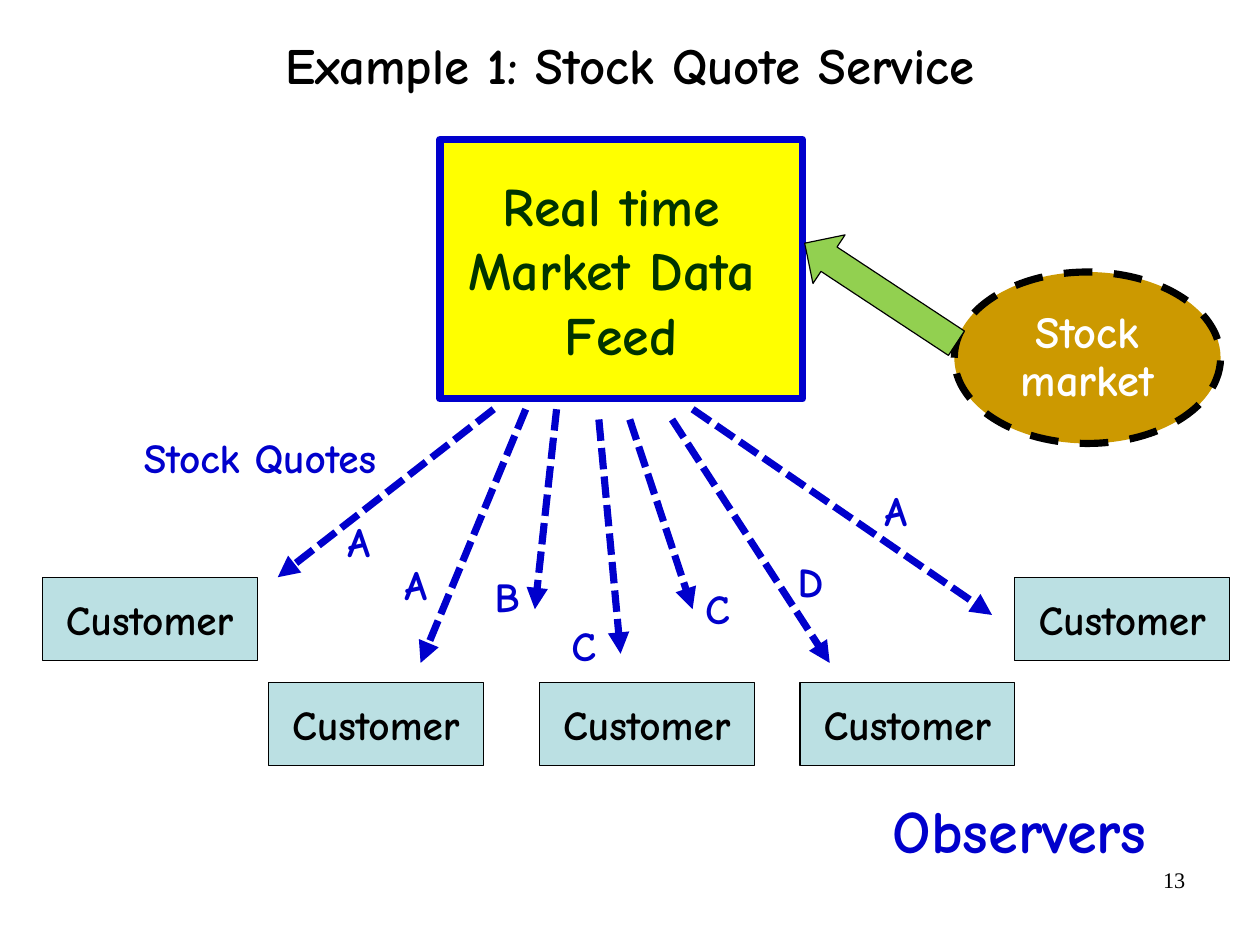
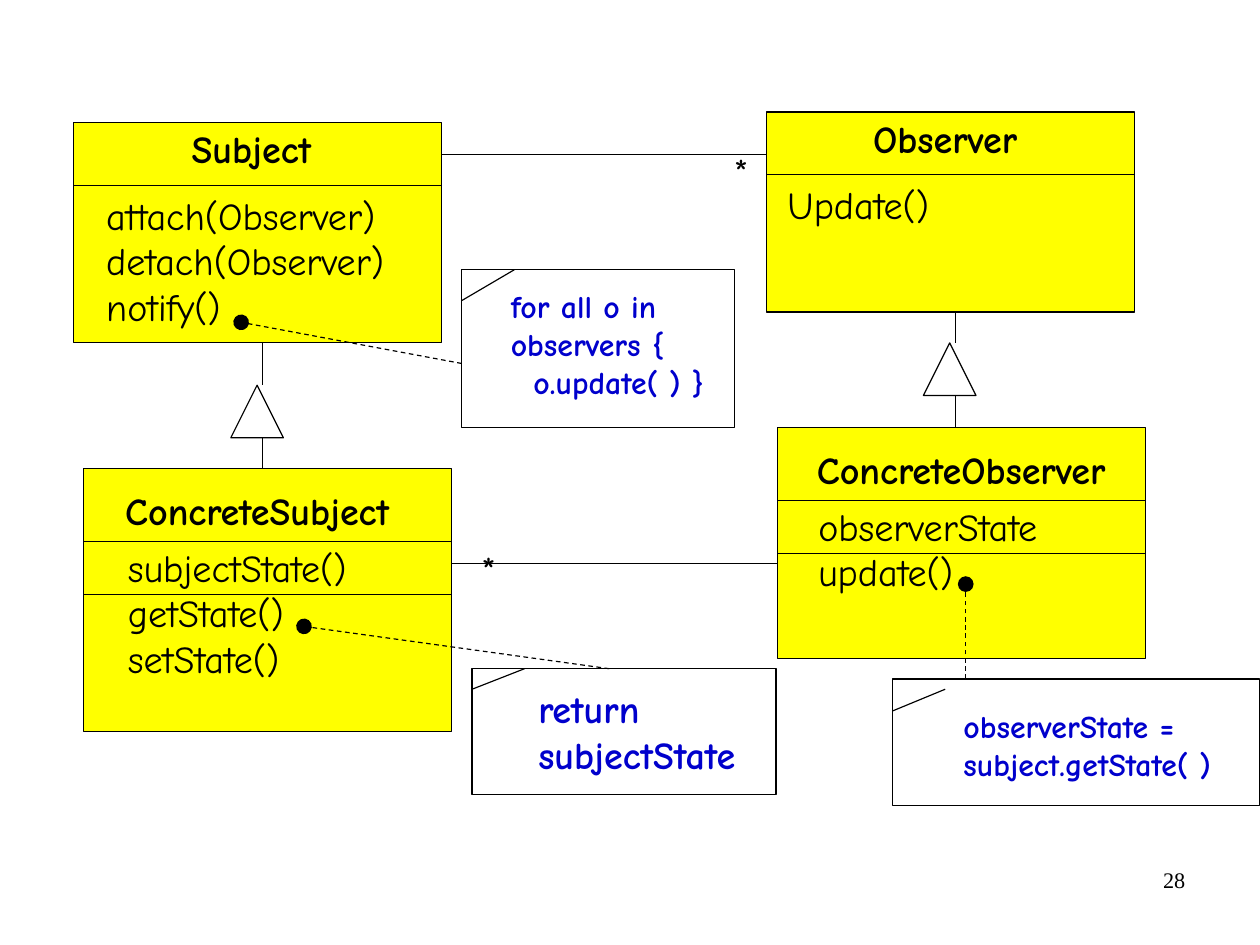
from dataclasses import dataclass

from lxml.etree import SubElement
from pptx import Presentation
from pptx.dml.color import RGBColor
from pptx.enum.dml import MSO_LINE
from pptx.enum.shapes import MSO_CONNECTOR, MSO_SHAPE
from pptx.enum.text import MSO_ANCHOR, PP_ALIGN
from pptx.oxml.ns import qn
from pptx.util import Emu, Inches, Pt


@dataclass(frozen=True)
class Theme:
    font: str = "Comic Neue"
    number_font: str = "Times New Roman"
    black: str = "000000"
    white: str = "FFFFFF"
    blue: str = "0000CC"
    yellow: str = "FFFF00"
    green: str = "003300"
    lime: str = "92D050"
    gold: str = "CC9900"
    aqua: str = "BBE0E3"
    thin: float = 0.75
    thick: float = 4.5
    number: int = 14
    note: int = 20
    member: int = 24
    label: int = 26
    market: int = 28
    title: int = 32
    feed: int = 34
    caption: int = 38


T = Theme()
LEFT, CENTER, RIGHT = PP_ALIGN.LEFT, PP_ALIGN.CENTER, PP_ALIGN.RIGHT
TOP, MIDDLE = MSO_ANCHOR.TOP, MSO_ANCHOR.MIDDLE


def write(shape, text, size, color=T.black, bold=True, align=LEFT,
          anchor=TOP, font=T.font, wrap=True, inset=(0.11, 0.06)):
    frame = shape.text_frame
    frame.text = text
    frame.word_wrap = wrap
    frame.vertical_anchor = anchor
    frame.margin_left = frame.margin_right = Inches(inset[0])
    frame.margin_top = frame.margin_bottom = Inches(inset[1])
    for para in frame.paragraphs:
        para.alignment = align
        for run in para.runs:
            run.font.name = font
            run.font.size = Pt(size)
            run.font.bold = bold
            run.font.color.rgb = RGBColor.from_string(color)
    return frame


def add_text(slide, box, text, size, **style):
    shape = slide.shapes.add_textbox(*map(Inches, box))
    return write(shape, text, size, **style)


def stroke(line, color, width, dash=None):
    line.color.rgb = RGBColor.from_string(color)
    line.width = Pt(width)
    if dash is not None:
        line.dash_style = dash


def add_shape(slide, kind, box, fill=None, color=T.black, width=T.thin, dash=None):
    shape = slide.shapes.add_shape(kind, *map(Inches, box))
    shape.shadow.inherit = False
    if fill:
        shape.fill.solid()
        shape.fill.fore_color.rgb = RGBColor.from_string(fill)
    else:
        shape.fill.background()
    stroke(shape.line, color, width, dash)
    return shape


def add_line(slide, start, end, color=T.black, width=T.thin, dash=None,
             head=None, scale="med"):
    """Draw a straight connector, with an optional arrowhead at its end."""
    line = slide.shapes.add_connector(
        MSO_CONNECTOR.STRAIGHT, *map(Inches, (*start, *end)))
    stroke(line.line, color, width, dash)
    props = line.element.spPr
    if head:
        SubElement(props.find(qn("a:ln")), qn("a:tailEnd"),
                   type=head, w=scale, len=scale)
    SubElement(props, qn("a:effectLst"))


def add_number(slide, number):
    add_text(slide, (7.9, 7.53, 2.57, 0.57), str(number), T.number, bold=False,
             align=RIGHT, font=T.number_font, inset=(0.1, 0.05))


def add_title(slide, text):
    title = slide.shapes.title
    title.left, title.top, title.width, title.height = map(
        Inches, (0.39, -0.09, 10.25, 1.38))
    frame = write(title, text, T.title, align=CENTER, anchor=MIDDLE)
    frame.paragraphs[0].line_spacing = 0.88


def add_feed(slide, box):
    feed = add_shape(slide, MSO_SHAPE.RECTANGLE, box, T.yellow, T.blue, T.thick)
    write(feed, "Real time \nMarket Data \nFeed", T.feed, T.green,
          align=CENTER, anchor=MIDDLE)


def add_quote(slide, start, end, letter, spot):
    add_line(slide, start, end, T.blue, T.thick, MSO_LINE.SQUARE_DOT, "triangle")
    add_text(slide, (*spot, 0.81, 0.54), letter, T.label, color=T.blue,
             inset=(0.1, 0.05))


def add_buyer(slide, left, top):
    buyer = add_shape(slide, MSO_SHAPE.RECTANGLE, (left, top, 1.88, 0.73), T.aqua)
    write(buyer, "Customer", T.label, align=CENTER, anchor=MIDDLE)


def add_market(slide, box):
    """Draw the market and the block arrow that leads up and left from it."""
    left, top = box[:2]
    market = add_shape(slide, MSO_SHAPE.OVAL, box, T.gold, width=T.thick,
                       dash=MSO_LINE.DASH)
    frame = write(market, "Stock market", T.market, T.white, align=CENTER,
                  anchor=MIDDLE, inset=(0.1, 0.05))
    frame.paragraphs[0].line_spacing = 0.9
    frame.paragraphs[0].space_after = Pt(10.9)
    arrow = add_shape(slide, MSO_SHAPE.UP_ARROW,
                      (left - 0.9, top - 0.61, 0.51, 1.59), T.lime)
    arrow.rotation = 303.4


def build_quotes(deck):
    slide = deck.slides.add_slide(deck.slide_layouts[5])
    add_title(slide, "Example 1: Stock Quote Service")
    add_feed(slide, (3.85, 1.22, 3.17, 2.27))
    quotes = [
        ((4.32, 3.58), (2.43, 5.05), "A", (2.94, 4.47)),
        ((4.6, 3.58), (3.68, 5.8), "A", (3.44, 4.84)),
        ((4.87, 3.58), (4.68, 5.33), "B", (4.23, 4.95)),
        ((5.24, 3.67), (5.43, 5.72), "C", (4.9, 5.38)),
        ((5.51, 3.67), (6.06, 5.33), "C", (6.07, 5.05)),
        ((5.88, 3.67), (7.26, 5.8), "D", (6.88, 4.82)),
        ((6.06, 3.58), (8.68, 5.38), "A", (7.64, 4.2)),
    ]
    for quote in quotes:
        add_quote(slide, *quote)
    for top, lefts in ((5.05, (0.37, 8.88)), (5.97, (2.35, 4.72, 7))):
        for left in lefts:
            add_buyer(slide, left, top)
    add_text(slide, (1.15, 3.72, 2.5, 0.55), "Stock Quotes", T.label, color=T.blue)
    add_text(slide, (7.7, 6.88, 2.7, 0.75), "Observers", T.caption, color=T.blue)
    add_market(slide, (8.35, 2.38, 2.33, 1.5))
    add_number(slide, 13)


def add_class(slide, box, name, members, indent, drop, head, rules, shift):
    """Draw a class; drop, head and rules are measured from its top."""
    left, top, width, height = box
    add_shape(slide, MSO_SHAPE.RECTANGLE, box, T.yellow)
    add_text(slide, (left + shift, top, width, head), name, T.member,
             align=CENTER, anchor=MIDDLE, wrap=False)
    add_text(slide, (left + indent, top + drop, width - indent, height - drop),
             members, T.member, bold=False)
    for rule in rules:
        add_line(slide, (left, top + rule), (left + width, top + rule))


def add_parent(slide, x, top, tip, bottom):
    """Draw an inheritance mark: a triangle between two short lines."""
    side = 0.46
    add_shape(slide, MSO_SHAPE.ISOSCELES_TRIANGLE, (x - 0.28, tip, side, side))
    add_line(slide, (x, top), (x, tip))
    add_line(slide, (x, tip + side), (x, bottom))


def add_note(slide, box, text, size, offset, fold, anchor, dot):
    """Draw a note with a cut corner, tied by a dashed line to a dot."""
    left, top, width, height = box
    dx, dy = offset
    high, low = fold
    add_shape(slide, MSO_SHAPE.RECTANGLE, box)
    add_line(slide, (left + 0.46, top + high), (left, top + low))
    add_text(slide, (left + dx, top + dy, width - dx, height - dy), text, size,
             color=T.blue)
    add_line(slide, anchor, dot, dash=MSO_LINE.DASH, head="oval", scale="lg")


def build_classes(deck):
    slide = deck.slides.add_slide(deck.slide_layouts[6])
    base = dict(drop=0.55, head=0.46, rules=[0.55], shift=-0.05)
    child = dict(drop=0.6, head=0.73, rules=[0.64, 1.1])
    add_class(slide, (0.64, 1.07, 3.22, 1.93), "Subject",
              "attach(Observer)\ndetach(Observer)\nnotify()", 0.18, **base)
    add_class(slide, (6.71, 0.98, 3.22, 1.75), "Observer", "Update()", 0.07, **base)
    add_class(slide, (0.73, 4.1, 3.22, 2.3), "ConcreteSubject",
              "subjectState()\ngetState()\nsetState()", 0.28, shift=-0.09, **child)
    add_class(slide, (6.8, 3.74, 3.22, 2.02), "ConcreteObserver",
              "observerState\nupdate()", 0.25, shift=0, **child)
    add_parent(slide, 2.3, 3, 3.37, 4.1)
    add_parent(slide, 8.36, 2.73, 3, 3.74)
    for start, end, y, star in ((3.86, 6.71, 1.35, (6.31, 1.24)),
                                (3.95, 6.8, 4.93, (4.1, 4.72))):
        add_line(slide, (start, y), (end, y))
        add_text(slide, (*star, 0.41, 0.51), "*", T.member, bold=False)
    add_note(slide, (4.04, 2.36, 2.39, 1.38),
             "for all o in\nobservers {\n  o.update( ) }", T.note,
             (0.32, 0.09), (0, 0.27), (4.04, 3.18), (2.11, 2.82))
    add_note(slide, (4.13, 5.85, 2.66, 1.1), "return\nsubjectState", T.member,
             (0.47, 0.09), (0, 0.18), (5.33, 5.85), (2.66, 5.48))
    add_note(slide, (7.81, 5.94, 3.21, 1.11),
             "observerState =\nsubject.getState( )", T.note,
             (0.51, 0.18), (0.09, 0.28), (8.45, 5.94), (8.45, 5.11))
    add_number(slide, 28)


def main():
    deck = Presentation()
    deck.slide_width, deck.slide_height = Emu(10080625), Emu(7559675)
    build_quotes(deck)
    build_classes(deck)
    deck.save("out.pptx")


if __name__ == "__main__":
    main()
